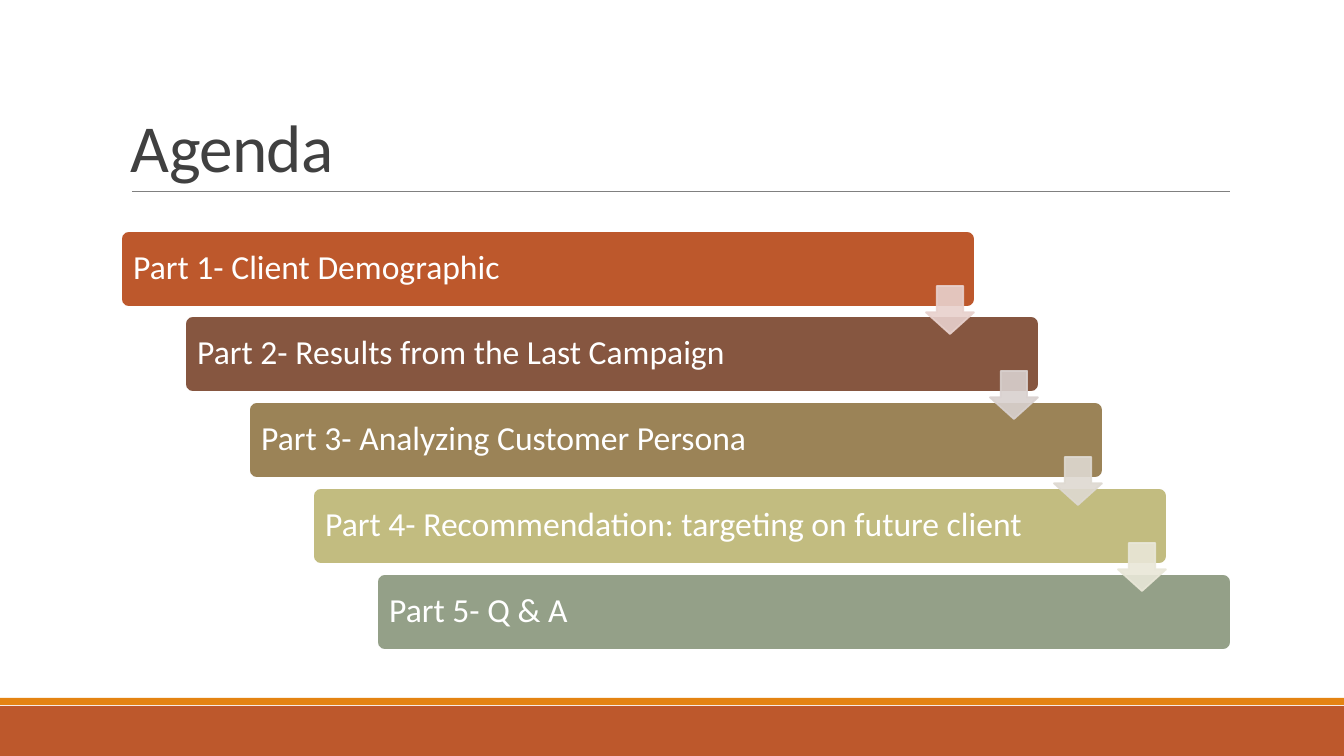
"""Build the agenda slide: a staircase of five parts joined by down arrows."""
import pptx
import pptx.dml.color
import pptx.enum.shapes
import pptx.enum.text
import pptx.oxml
import pptx.oxml.ns
import pptx.util

PX = 914400 / 100.8
THEME = {
    "font": "Calibri", "title_size": 48, "part_size": 24,
    "title": "404040", "rule": "808080", "white": "FFFFFF",
    "footer": "BD582C", "accent": "E48312",
}
PARTS = [
    ("Part 1- Client Demographic", "BD582C"),
    ("Part 2- Results from the Last Campaign", "865640"),
    ("Part 3- Analyzing Customer Persona", "9B8357"),
    ("Part 4- Recommendation: targeting on future client", "C2BC80"),
    ("Part 5- Q & A", "94A088"),
]
ARROWS = ["E8D1CD", "D9D1CF", "DED9D1", "E9E7D8"]
SHAPE = pptx.enum.shapes.MSO_SHAPE
ANCHOR = pptx.enum.text.MSO_ANCHOR
rgb = pptx.dml.color.RGBColor.from_string


def add_block(kind, box, fill, line=None):
    """Add a filled preset shape at a pixel box, outlined if a line colour is given."""
    s = slide.shapes.add_shape(kind, *[round(v * PX) for v in box])
    s.shadow.inherit = False
    s.fill.solid()
    s.fill.fore_color.rgb = rgb(fill)
    if line:
        s.line.color.rgb = rgb(line)
        s.line.width = pptx.util.Pt(1.25)
    else:
        s.line.fill.background()
    return s


def write(s, text, size, color, spacing, anchor):
    """Put one left-aligned paragraph in a shape and return it."""
    tf = s.text_frame
    tf.word_wrap = True
    tf.vertical_anchor = anchor
    tf.margin_left = tf.margin_right = round(10 * PX)
    p = tf.paragraphs[0]
    p.text = text
    p.alignment = pptx.enum.text.PP_ALIGN.LEFT
    p.line_spacing = spacing
    p.font.name = THEME["font"]
    p.font.size = pptx.util.Pt(size)
    p.font.color.rgb = rgb(color)
    return p


prs = pptx.Presentation()
prs.slide_width, prs.slide_height = round(1344 * PX), round(756 * PX)
slide = prs.slides.add_slide(prs.slide_layouts[6])

add_block(SHAPE.RECTANGLE, (0, 706, 1344, 50), THEME["footer"])
add_block(SHAPE.RECTANGLE, (0, 698, 1344, 7), THEME["accent"])

rule = slide.shapes.add_connector(
    pptx.enum.shapes.MSO_CONNECTOR.STRAIGHT,
    *[round(v * PX) for v in (132, 191, 1230, 191)])
rule.line.color.rgb = rgb(THEME["rule"])
rule.line.width = pptx.util.Pt(0.5)
rule._element.spPr.append(pptx.oxml.parse_xml(
    f'<a:effectLst {pptx.oxml.ns.nsdecls("a")}/>'))

title = slide.shapes.add_textbox(*[round(v * PX) for v in (121, 31, 1109, 160)])
p = write(title, "Agenda", THEME["title_size"], THEME["title"], 0.85, ANCHOR.BOTTOM)
p.runs[0].font._element.set("spc", "-50")

steps = [(121 + 64 * i, 231 + 343 * i // 4) for i in range(len(PARTS))]
for (x, y), (text, color) in zip(steps, PARTS):
    bar = add_block(SHAPE.ROUNDED_RECTANGLE, (x, y, 854, 76), color, THEME["white"])
    bar.adjustments[0] = 0.1
    write(bar, text, THEME["part_size"], THEME["white"], 0.9, ANCHOR.MIDDLE)

for (x, y), color in zip(steps, ARROWS):
    arrow = add_block(SHAPE.DOWN_ARROW, (x + 805, y + 55, 48, 48), color, color)
    arrow.adjustments[0], arrow.adjustments[1] = 0.55, 0.45
    for tint in arrow._element.spPr.iter(pptx.oxml.ns.qn("a:srgbClr")):
        tint.append(pptx.oxml.parse_xml(
            f'<a:alpha {pptx.oxml.ns.nsdecls("a")} val="90000"/>'))

prs.save("out.pptx")
